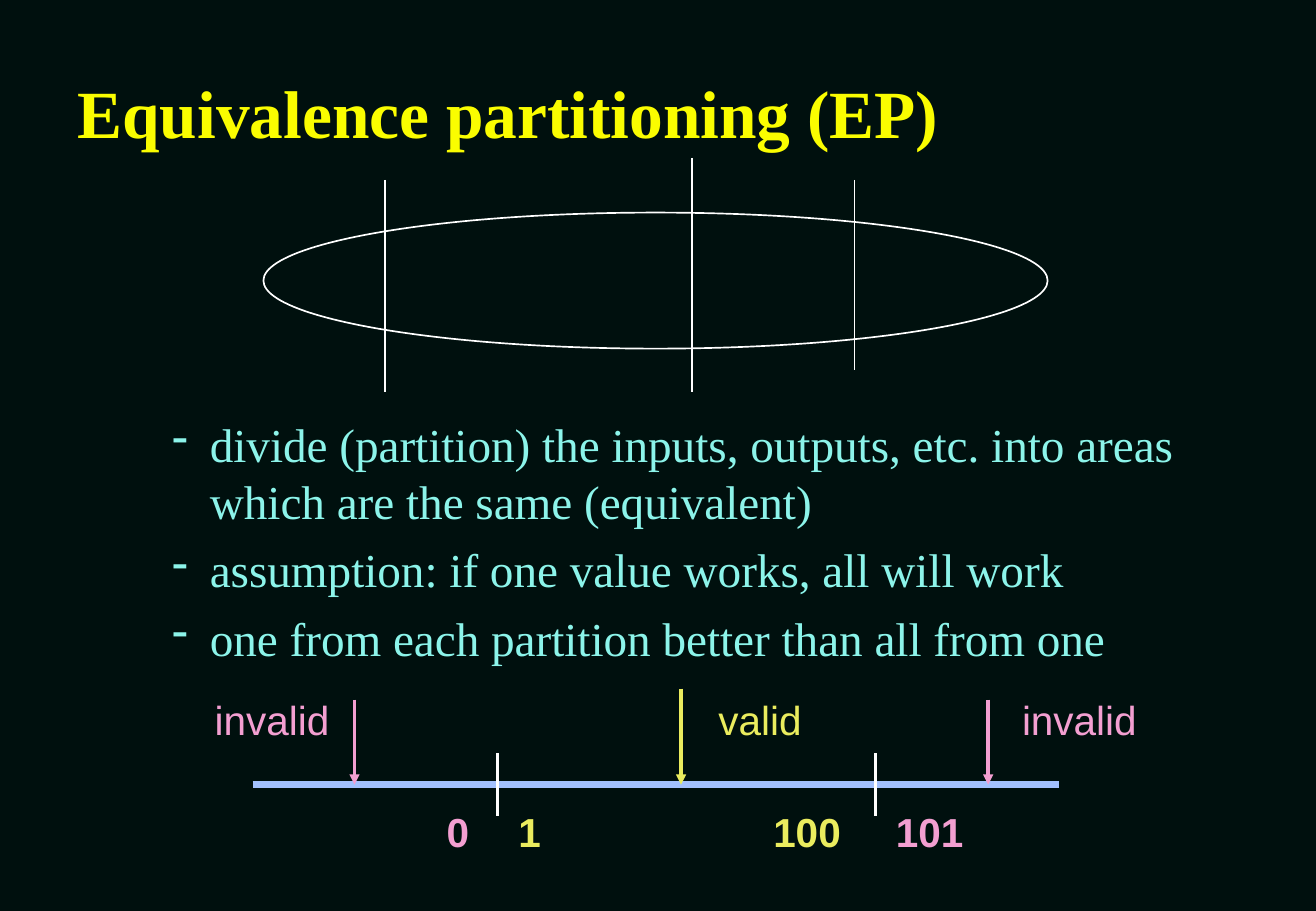
"""Build a slide that explains equivalence partitioning with a number line."""
from dataclasses import dataclass

from lxml import etree
from pptx import Presentation
from pptx.dml.color import RGBColor
from pptx.enum.shapes import MSO_CONNECTOR, MSO_SHAPE
from pptx.enum.text import MSO_ANCHOR
from pptx.oxml.ns import qn
from pptx.util import Pt

STRAIGHT = MSO_CONNECTOR.STRAIGHT
OVAL = MSO_SHAPE.OVAL
TOP, MIDDLE = MSO_ANCHOR.TOP, MSO_ANCHOR.MIDDLE
EMU_PER_PX = 9144


@dataclass(frozen=True)
class Theme:
    background: str = "00100E"
    title: str = "FAFD00"
    body: str = "8CF4EA"
    outline: str = "FFFFFF"
    axis: str = "A2C1FE"
    valid: str = "EAEC5E"
    invalid: str = "F39FD1"
    serif: str = "Times New Roman"
    sans: str = "Arial"
    title_size: int = 40
    body_size: int = 28
    label_size: int = 24
    thin: int = 1
    medium: int = 2
    thick: int = 4


THEME = Theme()

SLIDE_SIZE = (1084, 750)
TITLE = "Equivalence partitioning (EP)"
TITLE_BOX = (54, 58, 921, 67)
POINTS = [
    "divide (partition) the inputs, outputs, etc. into areas which are the same (equivalent)",
    "assumption: if one value works, all will work",
    "one from each partition better than all from one",
]
POINTS_BOX = (81, 337, 921, 255)
POINT_INDENT, POINT_HANGING = 82, 31

DOMAIN_ELLIPSE = (217, 175, 646, 112)
PARTITION_LINES = [(570, 130, 323), (704, 148, 305), (317, 148, 323)]

AXIS_LEFT, AXIS_RIGHT, AXIS_Y = 208, 872, 646
BOUNDARIES, BOUNDARY_REACH = [410, 721], 26
VALUES_TOP, VALUES_HEIGHT = 666, 42
VALUES = [
    ("0", 361, 40, THEME.invalid),
    ("1", 420, 40, THEME.valid),
    ("100", 630, 80, THEME.valid),
    ("101", 731, 80, THEME.invalid),
]
ARROWS = [(292, 576, THEME.invalid), (561, 567, THEME.valid), (814, 576, THEME.invalid)]
LABELS_TOP, LABELS_HEIGHT = 567, 50
LABELS = [
    ("invalid", 167, 122, THEME.invalid),
    ("valid", 582, 100, THEME.valid),
    ("invalid", 832, 122, THEME.invalid),
]


def px(length):
    return length * EMU_PER_PX


def add_text(slide, box, lines, font_name, size, color, bold=False,
             inset=(10, 5), anchor=TOP):
    shape = slide.shapes.add_textbox(*map(px, box))
    frame = shape.text_frame
    frame.word_wrap = True
    frame.vertical_anchor = anchor
    frame.margin_left = frame.margin_right = px(inset[0])
    frame.margin_top = frame.margin_bottom = px(inset[1])
    frame.text = "\n".join(lines)
    for paragraph in frame.paragraphs:
        font = paragraph.font
        font.name, font.size, font.bold = font_name, Pt(size), bold
        font.color.rgb = RGBColor.from_string(color)
    return frame.paragraphs


def add_dash(paragraph):
    properties = paragraph._p.get_or_add_pPr()
    properties.set("marL", str(px(POINT_INDENT)))
    properties.set("indent", str(-px(POINT_HANGING)))
    bullet = etree.Element(qn("a:buChar"), char="-")
    properties.find(qn("a:defRPr")).addprevious(bullet)


def add_line(slide, start, end, color, width, arrow=False):
    line = slide.shapes.add_connector(STRAIGHT, *map(px, start + end))
    line.line.color.rgb = RGBColor.from_string(color)
    line.line.width = Pt(width)
    if arrow:
        etree.SubElement(line.line._get_or_add_ln(), qn("a:tailEnd"), type="triangle")
    etree.SubElement(line._element.spPr, qn("a:effectLst"))


def add_domain(slide):
    ellipse = slide.shapes.add_shape(OVAL, *map(px, DOMAIN_ELLIPSE))
    ellipse.shadow.inherit = False
    ellipse.fill.background()
    ellipse.line.color.rgb = RGBColor.from_string(THEME.outline)
    ellipse.line.width = Pt(THEME.thin)
    for x, top, bottom in PARTITION_LINES:
        add_line(slide, (x, top), (x, bottom), THEME.outline, THEME.thin)


def add_points(slide):
    paragraphs = add_text(slide, POINTS_BOX, POINTS, THEME.serif, THEME.body_size, THEME.body)
    for index, paragraph in enumerate(paragraphs):
        if index:
            paragraph.space_before = Pt(7)
        add_dash(paragraph)


def add_number_line(slide):
    add_line(slide, (AXIS_LEFT, AXIS_Y), (AXIS_RIGHT, AXIS_Y), THEME.axis, THEME.thick)
    for x in BOUNDARIES:
        add_line(slide, (x, AXIS_Y - BOUNDARY_REACH), (x, AXIS_Y + BOUNDARY_REACH),
                 THEME.outline, THEME.medium)
    for text, left, width, color in VALUES:
        box = (left, VALUES_TOP, width, VALUES_HEIGHT)
        paragraphs = add_text(slide, box, [text], THEME.sans, THEME.label_size, color,
                              bold=True, inset=(7, 3))
        paragraphs[0].line_spacing = 0.9
    for x, top, color in ARROWS:
        add_line(slide, (x, top), (x, AXIS_Y), color, THEME.medium, arrow=True)
    for text, left, width, color in LABELS:
        box = (left, LABELS_TOP, width, LABELS_HEIGHT)
        add_text(slide, box, [text], THEME.sans, THEME.label_size, color)


def main():
    presentation = Presentation()
    presentation.slide_width, presentation.slide_height = map(px, SLIDE_SIZE)
    slide = presentation.slides.add_slide(presentation.slide_layouts[6])
    background = slide.background.fill
    background.solid()
    background.fore_color.rgb = RGBColor.from_string(THEME.background)
    add_text(slide, TITLE_BOX, [TITLE], THEME.serif, THEME.title_size, THEME.title,
             bold=True, anchor=MIDDLE)
    add_domain(slide)
    add_points(slide)
    add_number_line(slide)
    presentation.save("out.pptx")


if __name__ == "__main__":
    main()
